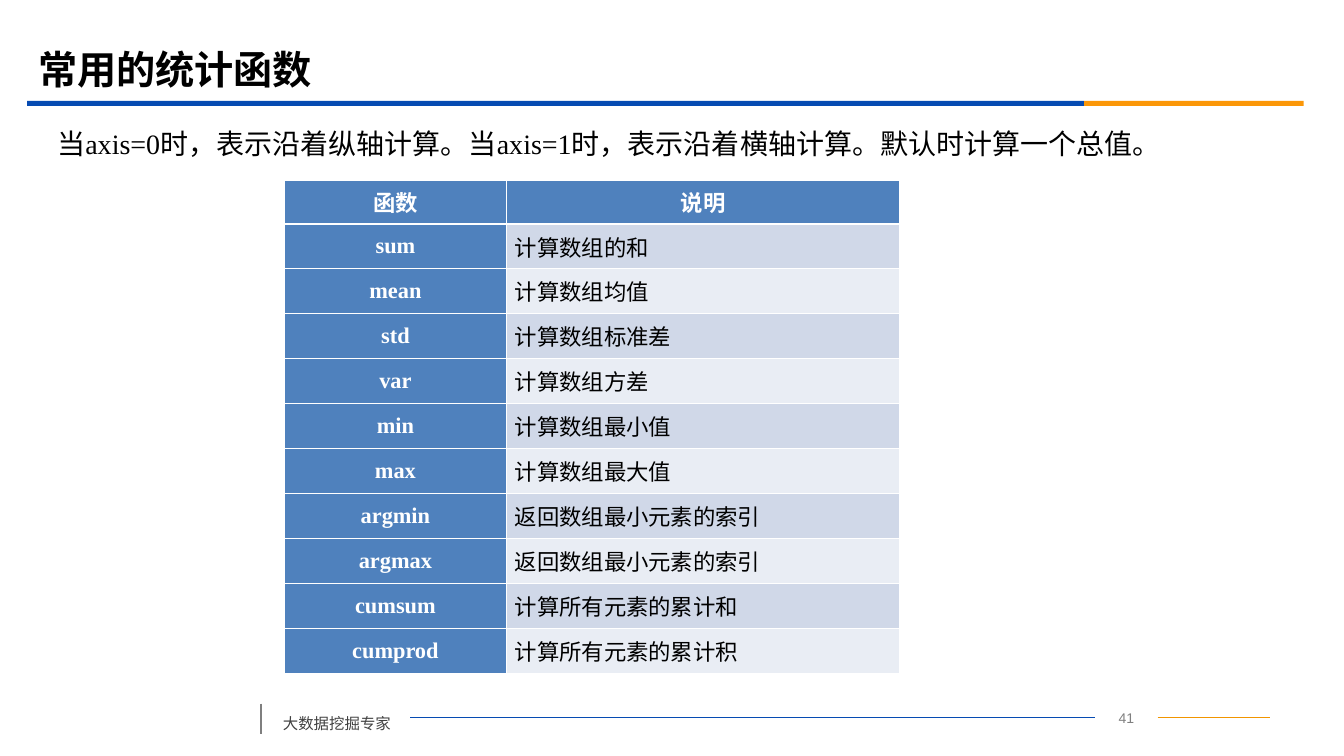
"""Build the slide on common statistical functions."""
from lxml.etree import SubElement
from pptx import Presentation
from pptx.dml.color import RGBColor
from pptx.enum.shapes import MSO_CONNECTOR, MSO_SHAPE
from pptx.enum.text import MSO_ANCHOR, PP_ALIGN
from pptx.oxml.ns import qn
from pptx.util import Inches, Pt

WHITE = RGBColor(0xFF, 0xFF, 0xFF)
BLACK = RGBColor(0x00, 0x00, 0x00)
GRAY = RGBColor(0x7F, 0x7F, 0x7F)
DARK_GRAY = RGBColor(0x40, 0x40, 0x40)
BLUE = RGBColor(0x06, 0x4B, 0xB2)
ORANGE = RGBColor(0xFB, 0x97, 0x08)
LINE_ORANGE = RGBColor(0xF1, 0x95, 0x00)
TABLE_BLUE = RGBColor(0x4F, 0x81, 0xBD)
BANDS = (RGBColor(0xD0, 0xD8, 0xE8), RGBColor(0xE9, 0xED, 0xF4))

CHINESE_FONT = "Noto Sans CJK SC"
SERIF_FONT = "Times New Roman"

TITLE = "常用的统计函数"
INTRODUCTION = "当axis=0时，表示沿着纵轴计算。当axis=1时，表示沿着横轴计算。默认时计算一个总值。"
FOOTER = "大数据挖掘专家"
PAGE_NUMBER = "41"
FUNCTIONS = [
    ("函数", "说明"),
    ("sum", "计算数组的和"),
    ("mean", "计算数组均值"),
    ("std", "计算数组标准差"),
    ("var", "计算数组方差"),
    ("min", "计算数组最小值"),
    ("max", "计算数组最大值"),
    ("argmin", "返回数组最小元素的索引"),
    ("argmax", "返回数组最小元素的索引"),
    ("cumsum", "计算所有元素的累计和"),
    ("cumprod", "计算所有元素的累计积"),
]
TABLE_LEFT, TABLE_TOP, TABLE_HEIGHT = 2.82, 1.79, 4.89
COLUMN_WIDTHS = (2.21, 3.9)
HEADER_HEIGHT = 0.43
BORDER, HEADER_BORDER = 0.45, 1.47

RULES = [
    (0.27, 10.49, BLUE),
    (10.76, 2.18, ORANGE),
]
FOOTER_LINES = [
    (11.49, 7.12, 12.61, 7.12, LINE_ORANGE, 0.75),
    (4.07, 7.12, 10.87, 7.12, BLUE, 0.75),
    (2.59, 6.98, 2.59, 7.28, GRAY, 1.25),
]


def add_run(paragraph, text, size, font_name, color, bold=False):
    run = paragraph.add_run()
    run.text = text
    run.font.size = Pt(size)
    run.font.name = font_name
    run.font.bold = bold
    run.font.color.rgb = color
    SubElement(run.font._element, qn("a:ea"), typeface=CHINESE_FONT)


def add_text(slide, box, text, size, font_name, color, bold=False,
             anchor=MSO_ANCHOR.MIDDLE, alignment=PP_ALIGN.LEFT, spacing=1.0):
    frame = slide.shapes.add_textbox(*map(Inches, box)).text_frame
    frame.word_wrap = True
    frame.vertical_anchor = anchor
    paragraph = frame.paragraphs[0]
    paragraph.alignment = alignment
    paragraph.line_spacing = spacing
    add_run(paragraph, text, size, font_name, color, bold)


def add_rule(slide, left, width, color):
    shape = slide.shapes.add_shape(
        MSO_SHAPE.RECTANGLE, Inches(left), Inches(1), Inches(width), Inches(0.05))
    shape.shadow.inherit = False
    shape.fill.solid()
    shape.fill.fore_color.rgb = color
    shape.line.fill.background()


def add_line(slide, left, top, right, bottom, color, width):
    line = slide.shapes.add_connector(
        MSO_CONNECTOR.STRAIGHT, *map(Inches, (left, top, right, bottom)))
    line.line.color.rgb = color
    line.line.width = Pt(width)
    SubElement(line._element.spPr, qn("a:effectLst"))


def set_borders(cell, row_index):
    widths = {
        "a:lnL": BORDER,
        "a:lnR": BORDER,
        "a:lnT": HEADER_BORDER if row_index == 1 else BORDER,
        "a:lnB": HEADER_BORDER if row_index == 0 else BORDER,
    }
    properties = cell._tc.get_or_add_tcPr()
    for position, (tag, width) in enumerate(widths.items()):
        border = SubElement(properties, qn(tag), w=str(Pt(width)))
        properties.insert(position, border)
        fill = SubElement(border, qn("a:solidFill"))
        SubElement(fill, qn("a:srgbClr"), val=str(WHITE))


def add_function_table(slide):
    table = slide.shapes.add_table(
        len(FUNCTIONS), len(COLUMN_WIDTHS), Inches(TABLE_LEFT), Inches(TABLE_TOP),
        Inches(sum(COLUMN_WIDTHS)), Inches(TABLE_HEIGHT)).table
    for column, width in zip(table.columns, COLUMN_WIDTHS):
        column.width = Inches(width)
    body_height = (TABLE_HEIGHT - HEADER_HEIGHT) / (len(FUNCTIONS) - 1)
    for row_index, texts in enumerate(FUNCTIONS):
        table.rows[row_index].height = Inches(body_height if row_index else HEADER_HEIGHT)
        for column_index, text in enumerate(texts):
            heading = row_index == 0 or column_index == 0
            cell = table.cell(row_index, column_index)
            cell.margin_left = cell.margin_right = Inches(0.08)
            cell.vertical_anchor = MSO_ANCHOR.MIDDLE
            cell.fill.solid()
            cell.fill.fore_color.rgb = TABLE_BLUE if heading else BANDS[(row_index - 1) % 2]
            set_borders(cell, row_index)
            paragraph = cell.text_frame.paragraphs[0]
            paragraph.alignment = PP_ALIGN.CENTER if heading else PP_ALIGN.JUSTIFY
            add_run(paragraph, text, 16, SERIF_FONT, WHITE if heading else BLACK, heading)


def main():
    presentation = Presentation()
    presentation.slide_width = Inches(13.34)
    presentation.slide_height = Inches(7.5)
    slide = presentation.slides.add_slide(presentation.slide_layouts[6])
    add_text(slide, (10.87, 6.99, 0.62, 0.25), PAGE_NUMBER, 10, "Arial", GRAY,
             anchor=MSO_ANCHOR.TOP, alignment=PP_ALIGN.CENTER)
    for line in FOOTER_LINES:
        add_line(slide, *line)
    for rule in RULES:
        add_rule(slide, *rule)
    add_text(slide, (2.71, 6.94, 1.36, 0.38), FOOTER, 11, CHINESE_FONT, DARK_GRAY,
             anchor=MSO_ANCHOR.TOP, spacing=1.5)
    add_function_table(slide)
    add_text(slide, (0.28, 0.39, 12, 0.58), TITLE, 28, "Calibri", BLACK, bold=True)
    add_text(slide, (0.47, 1.19, 12.15, 0.47), INTRODUCTION, 20, SERIF_FONT, BLACK)
    presentation.save("out.pptx")


if __name__ == "__main__":
    main()
